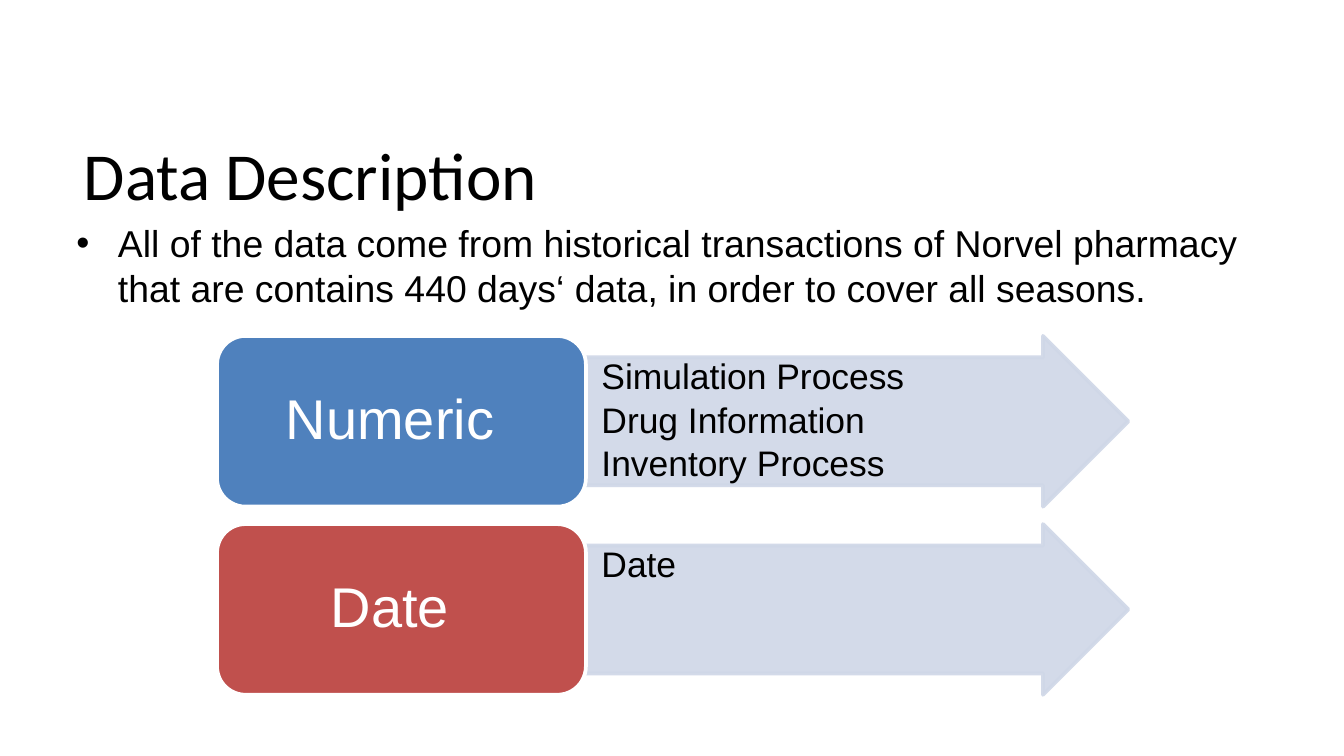
from dataclasses import dataclass

from lxml import etree
from pptx import Presentation
from pptx.dml.color import RGBColor
from pptx.enum.shapes import MSO_SHAPE
from pptx.enum.text import MSO_ANCHOR, PP_ALIGN
from pptx.oxml.ns import qn
from pptx.util import Emu, Pt

ARROW, CARD = MSO_SHAPE.RIGHT_ARROW, MSO_SHAPE.ROUNDED_RECTANGLE
TOP, MIDDLE = MSO_ANCHOR.TOP, MSO_ANCHOR.MIDDLE
LEFT, CENTER = PP_ALIGN.LEFT, PP_ALIGN.CENTER


@dataclass(frozen=True)
class Theme:
    ink: str = "000000"
    white: str = "FFFFFF"
    arrow: str = "CFD7E7"
    blue: str = "4F81BD"
    red: str = "C0504D"
    title_font: str = "Calibri"
    body_font: str = "Arial"
    title_size: int = 36
    label_size: int = 30
    body_size: int = 20
    item_size: int = 19
    outline: int = 2
    arrow_opacity: int = 90


THEME = Theme()


def px(length):
    """200 px make one inch."""
    return Emu(length * 4572)


def set_opacity(properties, percent):
    for color in properties.iter(qn("a:srgbClr")):
        etree.SubElement(color, qn("a:alpha"), val=str(percent * 1000))


def add_bullet(properties, character):
    color = etree.SubElement(properties, qn("a:buClr"))
    etree.SubElement(color, qn("a:srgbClr"), val=THEME.ink)
    etree.SubElement(properties, qn("a:buFont"), typeface=THEME.body_font)
    etree.SubElement(properties, qn("a:buChar"), char=character)


def add_block(shapes, kind, box, adjustments, fill, line):
    shape = shapes.add_shape(kind, *map(px, box))
    shape.shadow.inherit = False
    for index, value in enumerate(adjustments):
        shape.adjustments[index] = value
    shape.fill.solid()
    shape.fill.fore_color.rgb = RGBColor.from_string(fill)
    shape.line.color.rgb = RGBColor.from_string(line)
    shape.line.width = Pt(THEME.outline)
    return shape


def add_text(shapes, box, lines, size, color=THEME.ink, font=THEME.body_font,
             align=LEFT, anchor=TOP, insets=(20, 10), spacing=None, gap=0,
             indent=0, bullet=None):
    frame = shapes.add_textbox(*map(px, box)).text_frame
    frame.word_wrap = True
    frame.vertical_anchor = anchor
    frame.margin_left = frame.margin_right = px(insets[0])
    frame.margin_top = frame.margin_bottom = px(insets[1])
    for index, line in enumerate(lines):
        paragraph = frame.paragraphs[0] if index == 0 else frame.add_paragraph()
        properties = paragraph._p.get_or_add_pPr()
        if indent:
            properties.set("marL", str(px(indent)))
        if bullet:
            properties.set("indent", str(px(-indent)))
            add_bullet(properties, bullet)
        paragraph.font.size = Pt(size)
        paragraph.alignment = align
        if spacing:
            paragraph.line_spacing = spacing
        if index and gap:
            paragraph.space_before = Pt(gap)
        run = paragraph.add_run()
        run.text = line
        run.font.name = font
        run.font.size = Pt(size)
        run.font.color.rgb = RGBColor.from_string(color)


def add_heading(slide, left, top):
    add_text(slide.shapes, (left + 6, top, 724, 188), ["Data Description"],
             THEME.title_size, font=THEME.title_font, align=CENTER, anchor=MIDDLE)
    add_text(slide.shapes, (left, top + 154, 1814, 154),
             ["All of the data come from historical transactions of Norvel pharmacy "
              "that are contains 440 days‘ data, in order to cover all seasons."],
             THEME.body_size, indent=62, bullet="•")


def add_category(slide, box, label, items, color):
    left, top, width, height = box
    card_width, arrow_left = 549, left + 532
    shapes = slide.shapes.add_group_shape().shapes

    # Arrow with its list of items
    arrow = add_block(shapes, ARROW,
                      (arrow_left, top, left + width - arrow_left, height),
                      (0.75, 0.5), THEME.arrow, THEME.arrow)
    set_opacity(arrow._element.spPr, THEME.arrow_opacity)
    add_text(shapes, (arrow_left, top + 32, 724, height - 62), items,
             THEME.item_size, insets=(2, 2), spacing=0.9, gap=2.9, indent=38)

    # Card with the category name
    add_block(shapes, CARD, (left, top, card_width, height), (0.167,),
              color, THEME.white)
    add_text(shapes, (left - 4, top + 12, card_width - 26, height - 24), [label],
             THEME.label_size, THEME.white, align=CENTER, anchor=MIDDLE,
             insets=(32, 16), spacing=0.9)


def main():
    presentation = Presentation()
    presentation.slide_width, presentation.slide_height = px(2000), px(1125)
    slide = presentation.slides.add_slide(presentation.slide_layouts[6])

    add_heading(slide, 94, 164)
    categories = [
        ("Numeric", ["Simulation Process", "Drug Information", "Inventory Process"],
         THEME.blue),
        ("Date", ["Date"], THEME.red),
    ]
    for row, (label, items, color) in enumerate(categories):
        add_category(slide, (323, 500 + 280 * row, 1356, 254), label, items, color)

    presentation.save("out.pptx")


if __name__ == "__main__":
    main()
